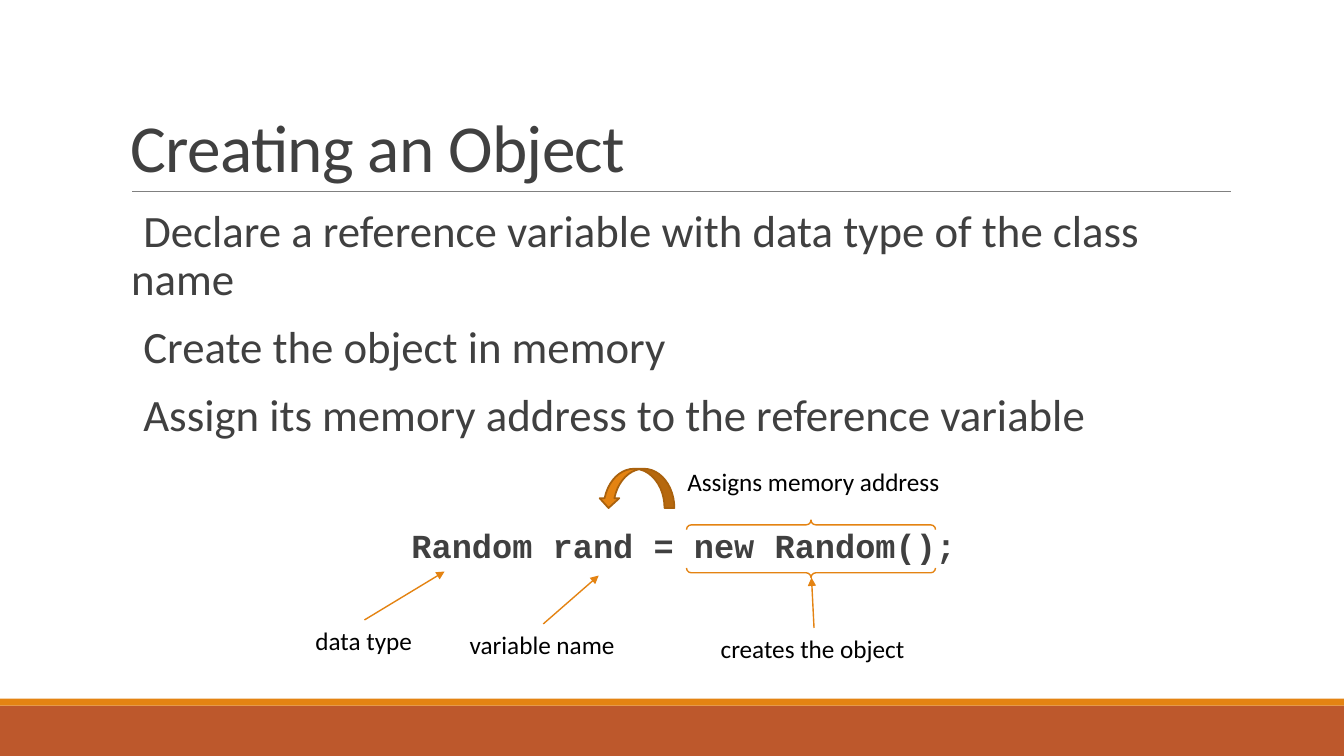
"""Build a slide that explains how an object is created."""
from lxml import etree
from pptx import Presentation
from pptx import util as u
from pptx.dml.color import RGBColor
from pptx.enum import shapes, text
from pptx.oxml.ns import qn

AMBER = RGBColor(0xE4, 0x83, 0x12)
BROWN = RGBColor(0xA9, 0x61, 0x0D)
RUST = RGBColor(0xBD, 0x58, 0x2C)
GREY = RGBColor(0x80, 0x80, 0x80)
INK = RGBColor(0x40, 0x40, 0x40)
BLACK = RGBColor(0, 0, 0)
LABEL_HEIGHT = 5.33

deck = Presentation()
deck.slide_width, deck.slide_height = u.Inches(13.33), u.Inches(7.5)
page = deck.slides.add_slide(deck.slide_layouts[6])


def place(*shares):
    """Turn percentages of slide width and height, in turn, into lengths."""
    sides = (deck.slide_width, deck.slide_height) * 2
    return [u.Emu(round(side * share / 100)) for side, share in zip(sides, shares)]


def write(para, wording, color, **font):
    """Add a formatted run to a paragraph."""
    span = para.add_run()
    span.text = wording
    span.font.color.rgb = color
    for name, value in font.items():
        setattr(span.font, name, value)
    return span


preset = shapes.MSO_SHAPE
for kind, spot, fill, line, weight, settings in [
    (preset.RECTANGLE, (0, 93.33, 100, 6.67), RUST, None, 0, {}),
    (preset.RECTANGLE, (0, 92.4, 100, 0.93), AMBER, None, 0, {}),
    (preset.CURVED_DOWN_ARROW, (44.55, 62, 5.63, 5.2), AMBER, BROWN, 1.25, {}),
    (preset.DOUBLE_BRACE, (58.2, 56.13, 4.28, 32.93), None, AMBER, 1, {"rotation": 90}),
]:
    box = page.shapes.add_shape(kind, *place(*spot))
    box.shadow.inherit = False
    for name, value in settings.items():
        setattr(box, name, value)
    if fill is None:
        box.fill.background()
    else:
        box.fill.solid()
        box.fill.fore_color.rgb = fill
    if line is None:
        box.line.fill.background()
    else:
        box.line.color.rgb = line
        box.line.width = u.Pt(weight)
    if kind == preset.CURVED_DOWN_ARROW:
        box._element.spPr.xfrm.set("flipH", "1")

title = page.shapes.add_textbox(*place(9, 4.13, 82.5, 21.2)).text_frame
title.word_wrap = True
title.vertical_anchor = text.MSO_ANCHOR.BOTTOM
title.paragraphs[0].line_spacing = 0.85
heading = write(title.paragraphs[0], "Creating an Object", INK, name="Calibri", size=u.Pt(48))
heading._r.get_or_add_rPr().set("spc", "-50")

body = page.shapes.add_textbox(*place(9, 26.93, 82.5, 58.67)).text_frame
body.word_wrap = True
body.margin_left = body.margin_right = 0
prose = {"name": "Calibri", "size": u.Pt(32)}
code = {"name": "Courier New", "size": u.Pt(24), "bold": True}
for index, (wording, font, before, align) in enumerate([
    ("Declare a reference variable with data type of the class name", prose, 12, None),
    ("Create the object in memory", prose, 12, None),
    ("Assign its memory address to the reference variable", prose, 12, None),
    ("Random rand = new Random();", code, 61, text.PP_ALIGN.CENTER),
]):
    para = body.add_paragraph() if index else body.paragraphs[0]
    layout = {"alignment": align, "line_spacing": 0.9,
              "space_before": u.Pt(before), "space_after": u.Pt(2)}
    for name, value in layout.items():
        setattr(para, name, value)
    properties = para._p.get_or_add_pPr()
    properties.set("marL", str(u.Inches(0.1)))
    properties.set("indent", str(-u.Inches(0.1)))
    etree.SubElement(properties, qn("a:buChar")).set("char", " ")
    write(para, wording, INK, **font)

lines = [((9.83, 25.33), (91.58, 25.33), GREY, 0.5)]
for wording, left, top, width, tip in [
    ("data type", 22.73, 82, 8.78, (33.08, 75.6)),
    ("variable name", 34.2, 82.53, 12.45, (44.55, 76.13)),
    ("creates the object", 52.88, 83.07, 15.38, (60.38, 76.4)),
    ("Assigns memory address", 50.4, 61.07, 20.48, None),
]:
    label = page.shapes.add_textbox(*place(left, top, width, LABEL_HEIGHT)).text_frame
    label.word_wrap = False
    label.auto_size = text.MSO_AUTO_SIZE.SHAPE_TO_FIT_TEXT
    write(label.paragraphs[0], wording, BLACK, name="Calibri", size=u.Pt(18))
    if tip:
        lines.append(((left + width / 2, top), tip, AMBER, 1))

for start, end, color, weight in lines:
    stroke = page.shapes.add_connector(shapes.MSO_CONNECTOR.STRAIGHT, *place(*start, *end))
    stroke.line.color.rgb = color
    stroke.line.width = u.Pt(weight)
    if color == AMBER:
        etree.SubElement(stroke.line._get_or_add_ln(), qn("a:tailEnd")).set("type", "triangle")
    etree.SubElement(stroke._element.spPr, qn("a:effectLst"))

deck.save("out.pptx")
